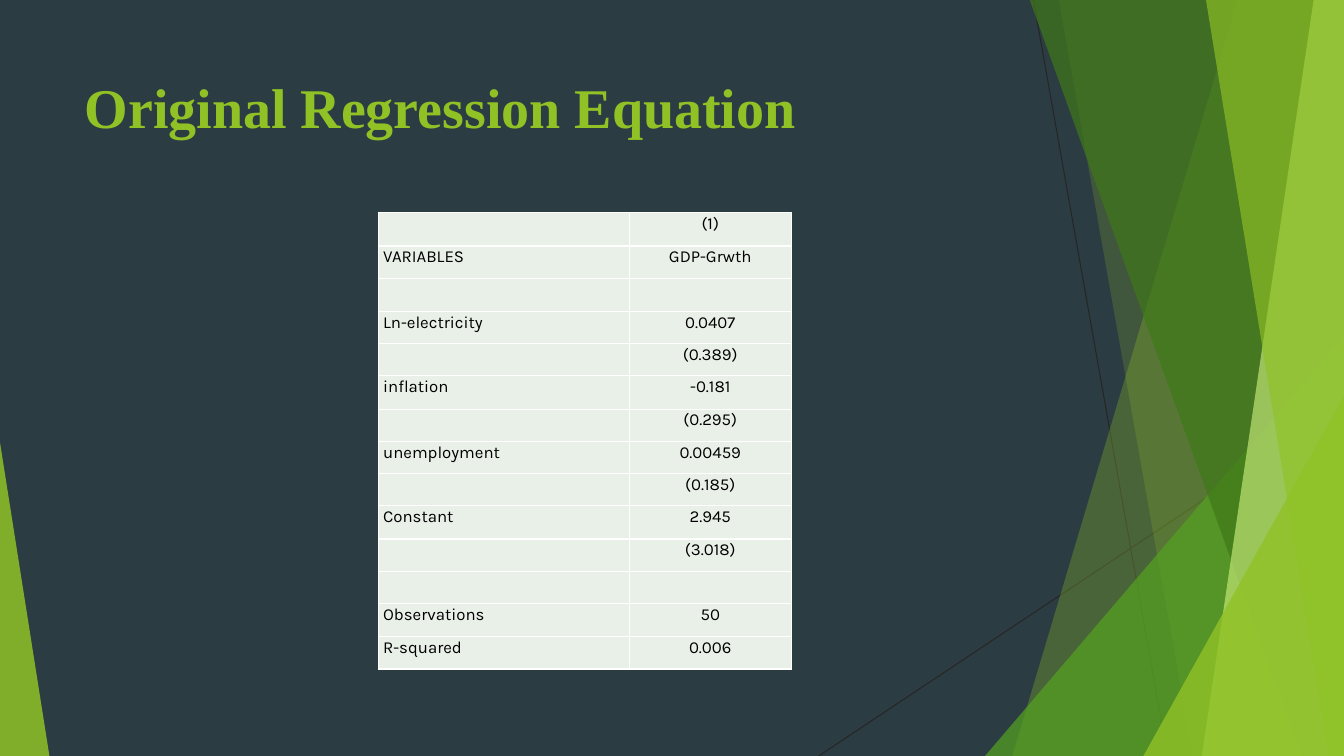
from lxml import etree
from pptx import Presentation
from pptx.dml.color import RGBColor
from pptx.enum.shapes import MSO_CONNECTOR, MSO_SHAPE
from pptx.enum.text import MSO_ANCHOR, PP_ALIGN
from pptx.oxml import parse_xml
from pptx.oxml.ns import nsdecls, qn
from pptx.util import Inches, Pt

WIDTH, HEIGHT = 13.33, 7.5
COLORS = {
    "background": "2C3C43",
    "lime": "90C226",
    "green": "54A021",
    "forest": "3F7819",
    "pale": "C0E474",
    "line": "262626",
    "cell": "E9F0E8",
    "border": "FFFFFF",
    "text": "000000",
}
ROWS = [
    ("", "(1)"),
    ("VARIABLES", "GDP-Grwth"),
    ("", ""),
    ("Ln-electricity", "0.0407"),
    ("", "(0.389)"),
    ("inflation", "-0.181"),
    ("", "(0.295)"),
    ("unemployment", "0.00459"),
    ("", "(0.185)"),
    ("Constant", "2.945"),
    ("", "(3.018)"),
    ("", ""),
    ("Observations", "50"),
    ("R-squared", "0.006"),
]
TALL_ROWS = {0, 2, 5, 9, 12}
COLUMN_WIDTHS = (2.49, 1.61)


def rgb(name):
    return RGBColor.from_string(COLORS[name])


def paint(sp, color, opacity):
    sp.shadow.inherit = False
    sp.line.fill.background()
    sp.fill.solid()
    sp.fill.fore_color.rgb = rgb(color)
    srgb = sp.fill._xPr.find(qn("a:solidFill"))[0]
    etree.SubElement(srgb, qn("a:alpha"), val=str(opacity * 1000))


def add_thin_line(slide, x1, y1, x2, y2):
    line = slide.shapes.add_connector(
        MSO_CONNECTOR.STRAIGHT, Inches(x1), Inches(y1), Inches(x2), Inches(y2))
    line.line.color.rgb = rgb("line")
    line.line.width = Pt(0.75)
    etree.SubElement(line._element.spPr, qn("a:effectLst"))


def add_facet(slide, top_x, bottom_x, color, opacity):
    builder = slide.shapes.build_freeform(Inches(top_x), Inches(-0.01))
    builder.add_line_segments([
        (Inches(WIDTH), Inches(-0.01)),
        (Inches(WIDTH), Inches(HEIGHT)),
        (Inches(bottom_x), Inches(HEIGHT)),
    ], close=True)
    paint(builder.convert_to_shape(), color, opacity)


def add_corner(slide, left, top, width, apex, color, opacity):
    sp = slide.shapes.add_shape(
        MSO_SHAPE.ISOSCELES_TRIANGLE, Inches(left), Inches(top),
        Inches(width), Inches(HEIGHT - top))
    sp.adjustments[0] = apex
    paint(sp, color, opacity)


def add_decoration(slide):
    add_thin_line(slide, 10.25, 0, 11.58, HEIGHT)
    add_thin_line(slide, WIDTH, 4.03, 8.12, HEIGHT)
    add_facet(slide, 12.28, 10.04, "lime", 30)
    add_facet(slide, 10.5, 11.83, "lime", 20)
    add_corner(slide, 9.77, 3.33, 3.56, 1, "green", 72)
    add_facet(slide, 10.21, 12.91, "forest", 70)
    add_facet(slide, 13.03, 11.92, "pale", 70)
    add_facet(slide, 11.96, 13.18, "lime", 65)
    add_corner(slide, 11.34, 3.93, 1.99, 1, "lime", 80)
    add_corner(slide, 0, 4.39, 0.49, 0, "lime", 85)


def format_run(r, font, size, color, bold=False):
    r.font.name = font
    r.font.size = Pt(size)
    r.font.bold = bold
    r.font.color.rgb = rgb(color)


def set_title(slide, text):
    title = slide.shapes.title
    title.left, title.top = Inches(0.74), Inches(0.67)
    title.width, title.height = Inches(9.4), Inches(1.44)
    tf = title.text_frame
    tf.text = text
    tf.vertical_anchor = MSO_ANCHOR.TOP
    p = tf.paragraphs[0]
    p.alignment = PP_ALIGN.LEFT
    format_run(p.runs[0], "Times New Roman", 40, "lime", True)


def add_borders(cell):
    tc_pr = cell._tc.get_or_add_tcPr()
    for side in ("lnL", "lnR", "lnT", "lnB"):
        tc_pr.append(parse_xml(
            f'<a:{side} {nsdecls("a")} w="12700"><a:solidFill>'
            f'<a:srgbClr val="{COLORS["border"]}"/></a:solidFill></a:{side}>'))


def fill_cell(cell, text, alignment):
    add_borders(cell)
    cell.fill.solid()
    cell.fill.fore_color.rgb = rgb("cell")
    cell.margin_left = cell.margin_right = Inches(0.05)
    cell.margin_top = cell.margin_bottom = 0
    if text:
        p = cell.text_frame.paragraphs[0]
        p.text = text
        p.alignment = alignment
        p.line_spacing = 1.07
        format_run(p.runs[0], "Karla", 12, "text")


def add_regression_table(slide):
    table = slide.shapes.add_table(
        len(ROWS), len(COLUMN_WIDTHS), Inches(3.75), Inches(2.11),
        Inches(sum(COLUMN_WIDTHS)), Inches(4.55)).table
    for column, width in zip(table.columns, COLUMN_WIDTHS):
        column.width = Inches(width)
    for i, texts in enumerate(ROWS):
        table.rows[i].height = Inches(0.33 if i in TALL_ROWS else 0.32)
        for j, alignment in enumerate((PP_ALIGN.LEFT, PP_ALIGN.CENTER)):
            fill_cell(table.cell(i, j), texts[j], alignment)


def main():
    prs = Presentation()
    prs.slide_width, prs.slide_height = Inches(WIDTH), Inches(HEIGHT)
    slide = prs.slides.add_slide(prs.slide_layouts[5])
    slide.background.fill.solid()
    slide.background.fill.fore_color.rgb = rgb("background")
    add_decoration(slide)
    set_title(slide, "Original Regression Equation")
    add_regression_table(slide)
    prs.save("out.pptx")


if __name__ == "__main__":
    main()
